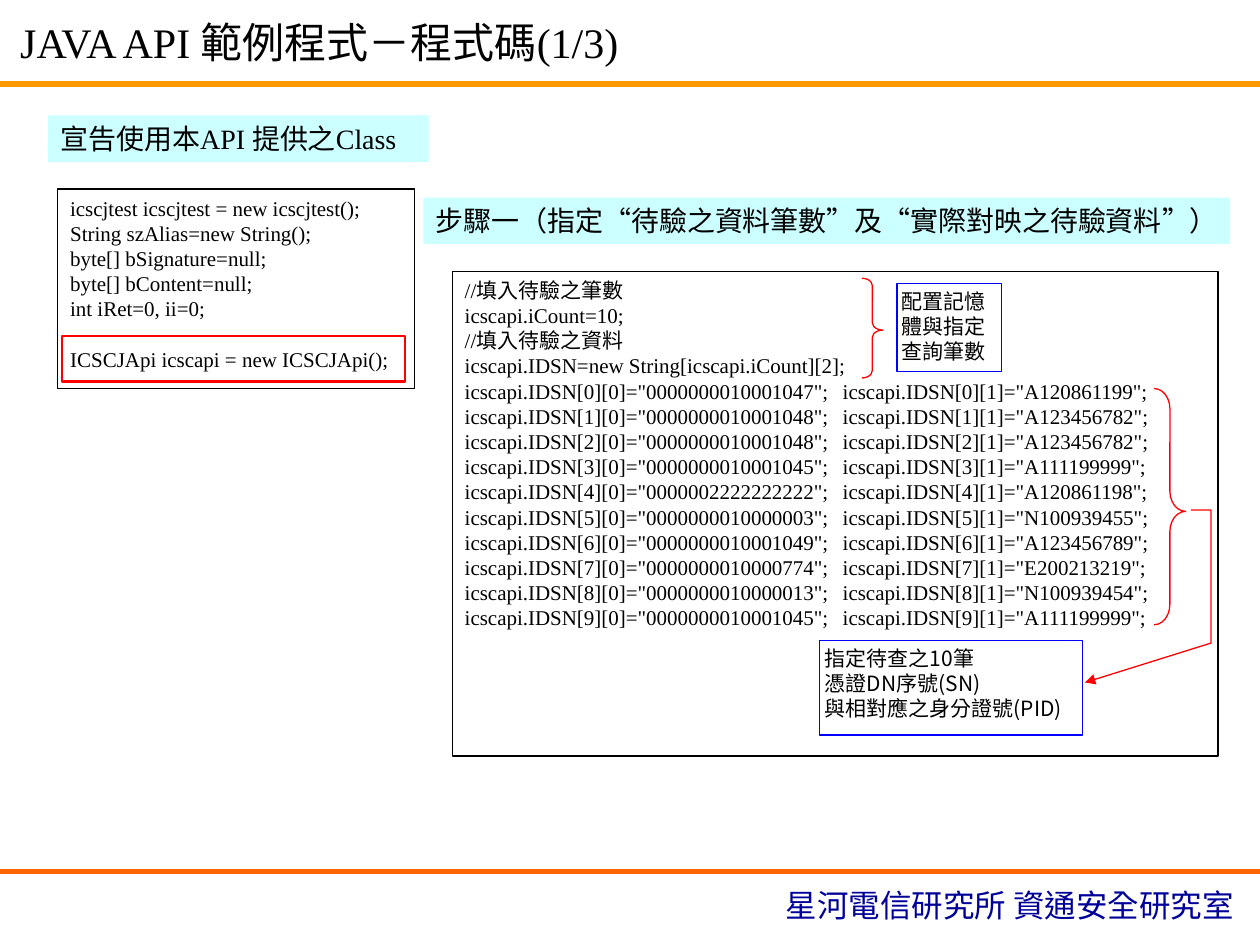
from lxml import etree
from pptx import Presentation
from pptx.dml.color import RGBColor
from pptx.enum.lang import MSO_LANGUAGE_ID
from pptx.enum.shapes import MSO_CONNECTOR, MSO_SHAPE
from pptx.enum.text import MSO_ANCHOR, PP_ALIGN
from pptx.oxml.ns import qn
from pptx.util import Pt

RECT, BRACE = MSO_SHAPE.RECTANGLE, MSO_SHAPE.RIGHT_BRACE
STRAIGHT = MSO_CONNECTOR.STRAIGHT
TOP, LEFT = MSO_ANCHOR.TOP, PP_ALIGN.LEFT
CHINESE = MSO_LANGUAGE_ID.TRADITIONAL_CHINESE

COLORS = {"ink": "000000", "paper": "FFFFFF", "heading": "CCFFFF", "red": "FF0000",
          "blue": "0000FF", "navy": "000099", "orange": "FF9900", "dark orange": "FF6600"}
SERIF, SANS, CJK_SC, CJK_TC = "Times New Roman", "Arial", "Noto Sans CJK SC", "Noto Sans CJK TC"
WIDE, NARROW = (7.2, 3.6), (2.88, 2.88)  # horizontal and vertical text margins
CODE_LINE = 14.4

# Content: a line is a string, or a list of (text, font) runs
FOOTER = ["星河電信研究所 資通安全研究室"]
TITLE = ["JAVA API 範例程式－程式碼(1/3)"]
CLASS_HEADING = ["宣告使用本API 提供之Class"]
STEP_HEADING = [[("步驟一（", SERIF), ("指定", SANS), ("“", SERIF), ("待驗之資料筆數", SANS),
                 ("”", SERIF), ("及", SANS), ("“", SERIF), ("實際對映之待驗資料", SANS),
                 ("”", SERIF), ("）", SANS)]]
DECLARATIONS = ["icscjtest icscjtest = new icscjtest();", "String szAlias=new String();",
                "byte[] bSignature=null;", "byte[] bContent=null;", "int iRet=0, ii=0;",
                "ICSCJApi icscapi = new ICSCJApi();"]
SETUP = [[("//", SERIF), ("填入待驗之筆數", CJK_SC)],
         "icscapi.iCount=10;",
         [("//", SERIF), ("填入待驗之資料", CJK_SC)],
         "icscapi.IDSN=new String[icscapi.iCount][2];"]
RECORDS = [("0000000010001047", "A120861199"), ("0000000010001048", "A123456782"),
           ("0000000010001048", "A123456782"), ("0000000010001045", "A111199999"),
           ("0000002222222222", "A120861198"), ("0000000010000003", "N100939455"),
           ("0000000010001049", "A123456789"), ("0000000010000774", "E200213219"),
           ("0000000010000013", "N100939454"), ("0000000010001045", "A111199999")]
ASSIGNMENTS = [f'icscapi.IDSN[{i}][0]="{serial}";\ticscapi.IDSN[{i}][1]="{person}";'
               for i, (serial, person) in enumerate(RECORDS)]
MEMORY_NOTE = ["配置記憶體與指定查詢筆數"]
RECORD_NOTE = ["指定待查之10筆", "憑證DN序號(SN)", "與相對應之身分證號(PID)"]

prs = Presentation()
prs.slide_width, prs.slide_height = Pt(720), Pt(540)
slide = prs.slides.add_slide(prs.slide_layouts[6])
shapes = slide.shapes


def rgb(name):
    return RGBColor.from_string(COLORS[name])


def style(shape, fill=None, line=None, weight=0.75):
    shape.shadow.inherit = False
    if fill:
        shape.fill.solid()
        shape.fill.fore_color.rgb = rgb(fill)
    else:
        shape.fill.background()
    if line:
        shape.line.color.rgb = rgb(line)
        shape.line.width = Pt(weight)
    else:
        shape.line.fill.background()


def write(shape, lines, size, color="ink", font=SERIF, margins=WIDE, wrap=True):
    frame = shape.text_frame
    side, edge = map(Pt, margins)
    frame_format = {"margin_left": side, "margin_right": side, "margin_top": edge,
                    "margin_bottom": edge, "word_wrap": wrap, "vertical_anchor": TOP}
    for name, value in frame_format.items():
        setattr(frame, name, value)
    for i, line in enumerate(lines):
        paragraph = frame.paragraphs[0] if i == 0 else frame.add_paragraph()
        paragraph.alignment = LEFT
        for text, face in [(line, font)] if isinstance(line, str) else line:
            run = paragraph.add_run()
            run.text = text
            run_format = {"name": face, "size": Pt(size), "language_id": CHINESE}
            for name, value in run_format.items():
                setattr(run.font, name, value)
            run.font.color.rgb = rgb(color)


def text_box(box, *text, **text_format):
    label = shapes.add_textbox(*map(Pt, box))
    write(label, *text, **text_format)


def panel(box, lines=(), size=12, fill="paper", line=None, weight=0.75, **text_format):
    rect = shapes.add_shape(RECT, *map(Pt, box))
    style(rect, fill, line, weight)
    write(rect, lines, size, **text_format)
    return rect


def rule(y, color):
    line = shapes.add_connector(STRAIGHT, Pt(0), Pt(y), Pt(720), Pt(y))
    line.line.color.rgb = rgb(color)
    line.line.width = Pt(3)
    etree.SubElement(line._element.spPr, qn("a:effectLst"))


def brace(box, curl):
    bracket = shapes.add_shape(BRACE, *map(Pt, box))
    style(bracket, line="red")
    bracket.adjustments[0], bracket.adjustments[1] = curl, 0.52


# Footer, rules and title
text_box((442, 502.5, 276, 29), FOOTER, 18, color="navy", wrap=False)
rule(498, "dark orange")
rule(48, "orange")
text_box((4.5, 6, 714, 36), TITLE, 24)

# Class declaration
declarations = panel((33, 108, 204, 114), DECLARATIONS, line="ink")
declarations.text_frame.paragraphs[-1].space_before = Pt(CODE_LINE)
panel((35.5, 192, 196, 26), fill=None, line="red", weight=1.5)
panel((27.5, 66, 217.5, 26.5), CLASS_HEADING, 16, fill="heading", wrap=False)

# Step one code with its notes
panel((258.5, 155, 437.5, 277), SETUP + ASSIGNMENTS, line="ink")
panel((512.5, 162, 60, 50.5), MEMORY_NOTE, line="blue", margins=NARROW)
brace((492.5, 159, 12, 57), 0.35)
panel((468.5, 366, 150, 54), RECORD_NOTE, line="blue", font=CJK_TC, margins=NARROW)
brace((659.5, 222, 18, 135), 0.64)

# Arrow from the records to their note
start, *bends = [(680.5, 291.5), (692, 291.5), (692, 367.5), (620, 390)]
builder = shapes.build_freeform(Pt(start[0]), Pt(start[1]))
builder.add_line_segments([(Pt(x), Pt(y)) for x, y in bends], close=False)
arrow = builder.convert_to_shape()
style(arrow, line="red")
etree.SubElement(arrow.line._get_or_add_ln(), qn("a:tailEnd"), type="triangle")

panel((242, 113, 461, 26.5), STEP_HEADING, 16, fill="heading", wrap=False)

prs.save("out.pptx")
